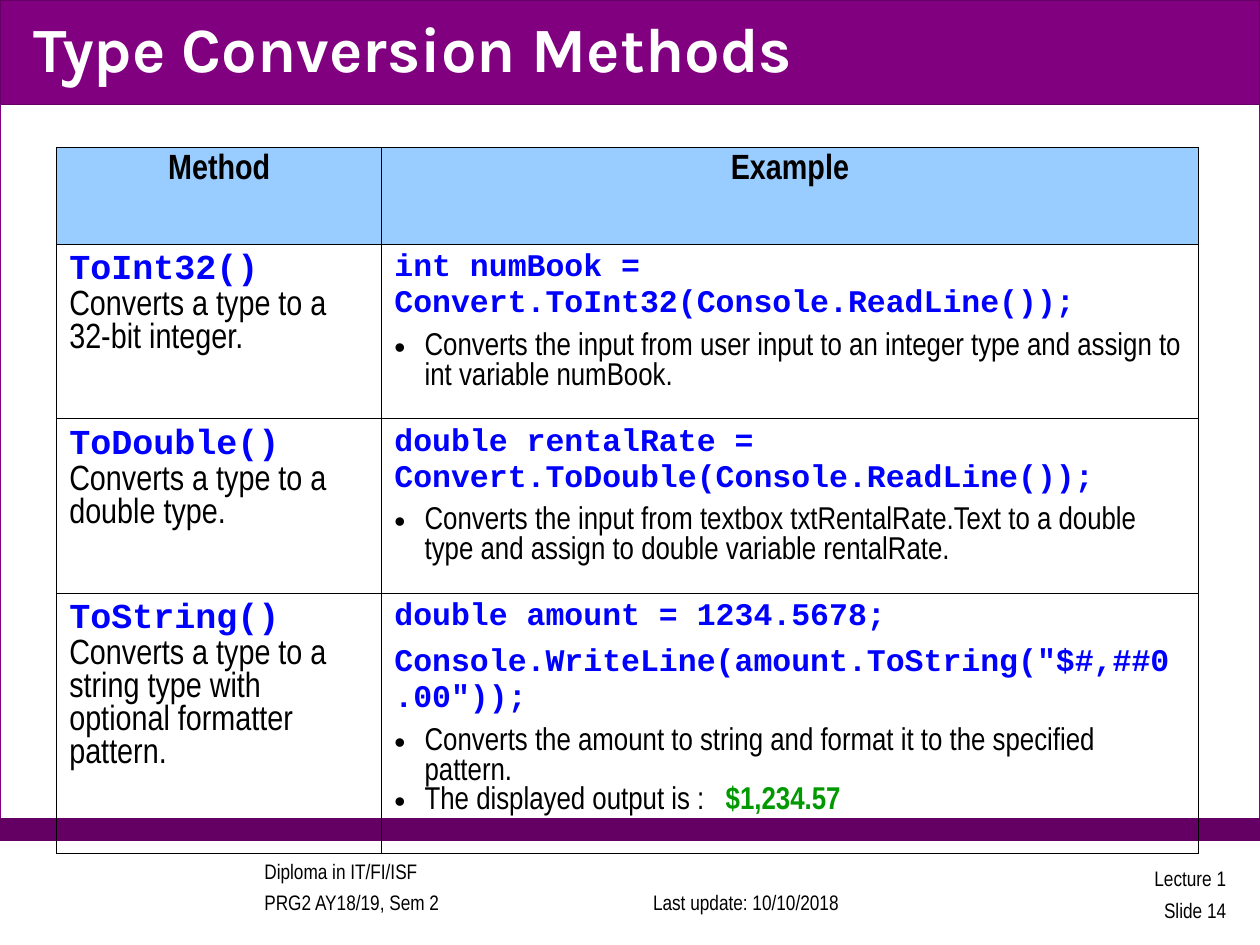
from copy import deepcopy

from lxml import etree
from pptx import Presentation
from pptx.dml.color import RGBColor
from pptx.enum.shapes import MSO_SHAPE
from pptx.enum.text import MSO_ANCHOR, PP_ALIGN
from pptx.oxml.ns import qn
from pptx.util import Inches, Pt

RECT = MSO_SHAPE.RECTANGLE
MIDDLE, BOTTOM = MSO_ANCHOR.MIDDLE, MSO_ANCHOR.BOTTOM
LEFT, CENTER, RIGHT = PP_ALIGN.LEFT, PP_ALIGN.CENTER, PP_ALIGN.RIGHT

COLORS = {
    "white": "FFFFFF", "black": "000000", "purple": "800080",
    "dark": "640064", "sky": "99CCFF", "blue": "0000FF", "green": "009900",
}
SANS, MONO = "Arial Narrow", "Courier New"

# Text formats: colour name plus font attributes
FORMATS = {
    "title": ("white", {"name": "Karla", "size": Pt(36), "bold": True}),
    "foot": ("black", {"name": SANS, "size": Pt(12), "bold": False}),
    "head": ("black", {"name": SANS, "size": Pt(20), "bold": True}),
    "method": ("blue", {"name": MONO, "size": Pt(20), "bold": True}),
    "about": ("black", {"name": SANS, "size": Pt(20), "bold": False}),
    "code": ("blue", {"name": MONO, "size": Pt(18), "bold": True}),
    "note": ("black", {"name": SANS, "size": Pt(18), "bold": False}),
    "money": ("green", {"name": SANS, "size": Pt(18), "bold": True}),
}

# Each row: method, description, code lines, notes (a note is a list of runs)
ROWS = [
    ("ToInt32()", "Converts a type to a 32-bit integer.",
     ["int numBook = Convert.ToInt32(Console.ReadLine());"],
     [[("Converts the input from user input to an integer type and assign "
        "to int variable numBook.", "note")]]),
    ("ToDouble()", "Converts a type to a double type.",
     ["double rentalRate = Convert.ToDouble(Console.ReadLine());"],
     [[("Converts the input from textbox txtRentalRate.Text to a double "
        "type and assign to double variable rentalRate.", "note")]]),
    ("ToString()",
     "Converts a type to a string type with optional formatter pattern.",
     ["double amount = 1234.5678;",
      'Console.WriteLine(amount.ToString("$#,##0.00"));'],
     [[("Converts the amount to string and format it to the specified "
        "pattern.", "note")],
      [("The displayed output is :\t", "note"), ("$1,234.57", "money")]]),
]


def rgb(name):
    return RGBColor.from_string(COLORS[name])


def add(parent, tag, **attrs):
    return etree.SubElement(parent, qn(tag), attrs)


class Deck:
    def __init__(self):
        self.prs = Presentation()
        self.prs.slide_width, self.prs.slide_height = Inches(10), Inches(7.5)
        self.slide = self.prs.slides.add_slide(self.prs.slide_layouts[6])

    def bar(self, top, high, fill, line, alpha=None):
        box = self.slide.shapes.add_shape(
            RECT, 0, Inches(top), Inches(10), Inches(high))
        box.shadow.inherit = False
        box.fill.solid()
        box.fill.fore_color.rgb = rgb(fill)
        box.line.color.rgb = rgb(line)
        box.line.width = Pt(0.75)
        if alpha:
            tint = box._element.spPr.find(qn("a:solidFill"))[0]
            add(tint, "a:alpha", val=str(alpha * 1000))

    def runs(self, para, parts):
        """Fill a paragraph with (text, format) runs; newlines are breaks."""
        for text, form in parts:
            color, values = FORMATS[form]
            for i, line in enumerate(text.split("\n")):
                if i:
                    para.add_line_break()
                    para._p[-1].append(deepcopy(run._r.rPr))
                if not line:
                    continue
                run = para.add_run()
                run.text = line
                for key, value in values.items():
                    setattr(run.font, key, value)
                run.font.color.rgb = rgb(color)

    def text(self, spot, text, form, align=LEFT, anchor=MIDDLE,
             indent=0, space=1.0):
        box = self.slide.shapes.add_textbox(*map(Inches, spot))
        frame = box.text_frame
        frame.word_wrap = True
        frame.vertical_anchor = anchor
        para = frame.paragraphs[0]
        para.alignment = align
        para.line_spacing = space
        if indent:
            para._p.get_or_add_pPr().set("marL", str(Inches(indent)))
        self.runs(para, [(text, form)])

    def bullet(self, para):
        props = para._p.get_or_add_pPr()
        props.set("marL", str(Inches(0.24)))
        props.set("indent", str(-Inches(0.24)))
        tint = add(props, "a:buClr")
        add(tint, "a:srgbClr", val=COLORS["black"])
        add(props, "a:buFont", typeface="Arial")
        add(props, "a:buChar", char="•")
        tabs = add(props, "a:tabLst")
        add(tabs, "a:tab", pos=str(Inches(2.63)), algn="l")

    def cell(self, cell, paras, fill=None):
        """Each paragraph is (kind, runs)."""
        props = cell._tc.get_or_add_tcPr()
        for side in ("a:lnL", "a:lnR", "a:lnT", "a:lnB"):
            line = add(props, side, w=str(Pt(0.45)))
            add(add(line, "a:solidFill"), "a:srgbClr", val=COLORS["black"])
        if fill:
            cell.fill.solid()
            cell.fill.fore_color.rgb = rgb(fill)
        else:
            cell.fill.background()
        frame = cell.text_frame
        for i, (kind, parts) in enumerate(paras):
            para = frame.add_paragraph() if i else frame.paragraphs[0]
            if kind == "head":
                para.alignment = CENTER
            elif kind == "code":
                para.space_after = Pt(6)
            elif kind == "note":
                self.bullet(para)
            self.runs(para, parts)

    def table(self, spot, wide, high):
        frame = self.slide.shapes.add_table(
            len(high), len(wide), *map(Inches, spot))
        table = frame.table
        table.first_row = table.horz_banding = False
        for col, width in zip(table.columns, wide):
            col.width = Inches(width)
        for row, height in zip(table.rows, high):
            row.height = Inches(height)
        for c, name in enumerate(("Method", "Example")):
            self.cell(table.cell(0, c), [("head", [(name, "head")])], "sky")
        for r, (method, about, code, notes) in enumerate(ROWS, 1):
            self.cell(table.cell(r, 0), [
                ("about", [(method + "\n", "method"), (about, "about")])])
            self.cell(table.cell(r, 1),
                      [("code", [(line, "code")]) for line in code]
                      + [("note", note) for note in notes])


def main():
    deck = Deck()

    # Page frame and bars
    deck.bar(0, 6.67, "white", "purple", alpha=90)
    deck.bar(6.5, 0.17, "dark", "dark")
    deck.bar(0, 0.83, "purple", "dark")

    # Footer
    deck.text((1.5, 6.89, 3.17, 0.42),
              "Diploma in IT/FI/ISF\nPRG2 AY18/19, Sem 2", "foot",
              anchor=BOTTOM, indent=0.5, space=1.25)
    deck.text((4.88, 6.89, 2.08, 0.42), "Last update: 10/10/2018", "foot",
              align=CENTER, anchor=BOTTOM)
    deck.text((7.75, 6.86, 2.08, 0.42), "Lecture 1\nSlide 14", "foot",
              align=RIGHT, space=1.25)

    # Title and table
    deck.text((0.17, 0, 9.83, 0.75), "Type Conversion Methods", "title")
    deck.table((0.45, 1.17, 9.06, 5.3), (2.58, 6.48),
               (0.77, 1.38, 1.38, 1.77))

    deck.prs.save("out.pptx")


if __name__ == "__main__":
    main()
